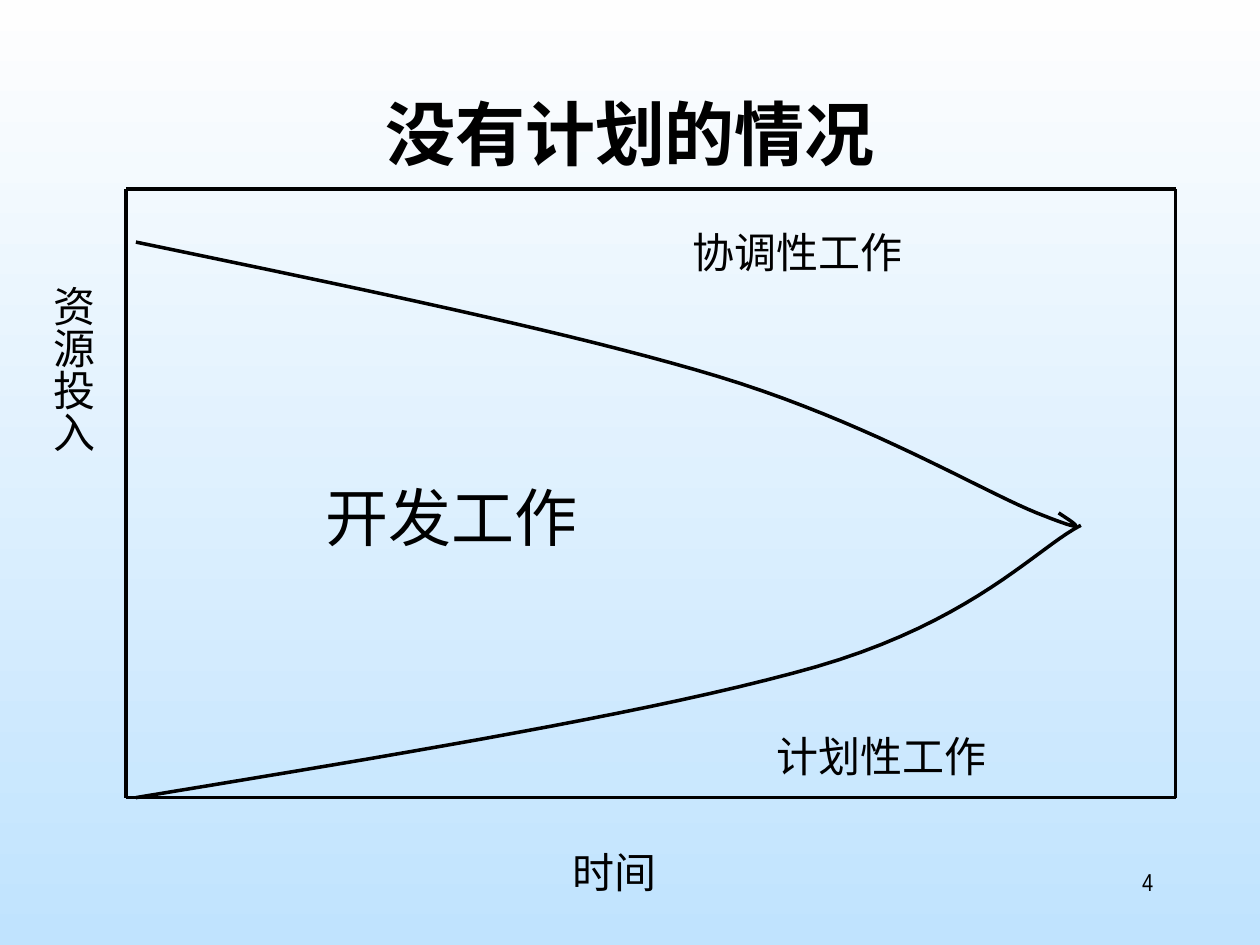
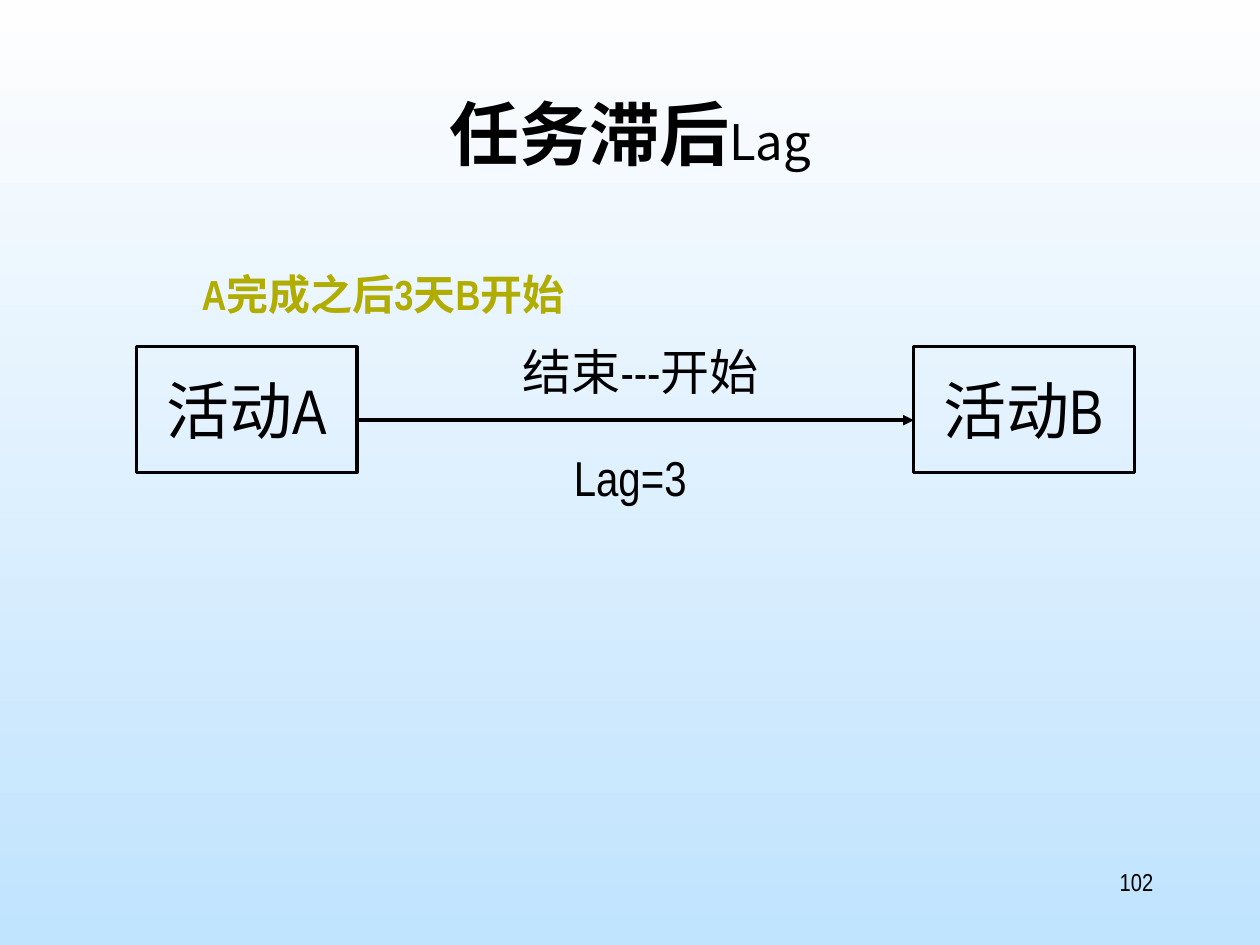
from dataclasses import dataclass
from itertools import pairwise

from lxml.etree import SubElement
from pptx import Presentation
from pptx.dml.color import RGBColor
from pptx.enum.shapes import MSO_CONNECTOR, MSO_SHAPE
from pptx.enum.text import MSO_ANCHOR as Anchor, MSO_AUTO_SIZE, PP_ALIGN as Align
from pptx.oxml.ns import qn
from pptx.util import Cm, Pt

COLORS = {"ink": "000000", "accent": "B0AC00", "sky_top": "FEFEFE", "sky_bottom": "C0E3FE"}
LATIN_FONT, CJK_FONT = "Arial Narrow", "Noto Sans CJK SC"
LINE_WIDTH = Pt(2)
CURVE_STEPS = 20

Point = tuple[float, float]


@dataclass
class Label:
    text: str
    left: float
    top: float
    width: float
    height: float
    size: int = 24
    color: str = "ink"
    bold: bool = False
    align: Align = Align.CENTER
    vertical: bool = False


@dataclass
class Activity:
    text: str
    left: float
    top: float = 6.99
    width: float = 4.45
    height: float = 2.54


def rgb(name: str) -> RGBColor:
    return RGBColor.from_string(COLORS[name])


def style_run(run, size: int, color: str = "ink", bold: bool = False, latin: str = LATIN_FONT) -> None:
    run.font.name = latin
    run.font.size = Pt(size)
    run.font.bold = bold
    run.font.color.rgb = rgb(color)
    SubElement(run.font._element, qn("a:ea"), typeface=CJK_FONT)


def style_line(line) -> None:
    line.color.rgb = rgb("ink")
    line.width = LINE_WIDTH


def paint_background(master) -> None:
    fill = master.background.fill
    fill.gradient()
    fill.gradient_angle = 270
    for stop, position, color in zip(fill.gradient_stops, (0, 1), ("sky_top", "sky_bottom")):
        stop.position = position
        stop.color.rgb = rgb(color)


def add_label(slide, label: Label) -> None:
    box = slide.shapes.add_textbox(Cm(label.left), Cm(label.top), Cm(label.width), Cm(label.height))
    frame = box.text_frame
    frame.word_wrap = True
    if label.vertical:
        frame._txBody.bodyPr.set("vert", "eaVert")
        frame.margin_left = frame.margin_right = Cm(0.13)
        frame.margin_top = frame.margin_bottom = Cm(0.25)
    frame.text = label.text
    paragraph = frame.paragraphs[0]
    paragraph.alignment = label.align
    style_run(paragraph.runs[0], label.size, label.color, label.bold)


def add_activity(slide, activity: Activity) -> None:
    box = slide.shapes.add_shape(MSO_SHAPE.RECTANGLE, Cm(activity.left), Cm(activity.top),
                                 Cm(activity.width), Cm(activity.height))
    box.shadow.inherit = False
    box.fill.background()
    style_line(box.line)
    frame = box.text_frame
    frame.word_wrap = False
    frame.vertical_anchor = Anchor.MIDDLE
    frame.text = activity.text
    frame.paragraphs[0].alignment = Align.CENTER
    style_run(frame.paragraphs[0].runs[0], 36)


def add_line(slide, start: Point, end: Point, arrow: bool = False) -> None:
    line = slide.shapes.add_connector(MSO_CONNECTOR.STRAIGHT, *map(Cm, start + end))
    style_line(line.line)
    if arrow:
        SubElement(line.line._get_or_add_ln(), qn("a:tailEnd"), type="triangle")
    SubElement(line._element.spPr, qn("a:effectLst"))


def bezier_point(controls: list[Point], t: float) -> Point:
    weights = ((1 - t) ** 3, 3 * t * (1 - t) ** 2, 3 * t * t * (1 - t), t ** 3)
    x, y = (sum(w * c for w, c in zip(weights, axis)) for axis in zip(*controls))
    return x, y


def add_curve(slide, controls: list[Point]) -> None:
    """Draw joined cubic Béziers; neighbouring ones share an end point."""
    points = [bezier_point(controls[first:first + 4], step / CURVE_STEPS)
              for first in range(0, len(controls) - 1, 3)
              for step in range(1, CURVE_STEPS + 1)]
    builder = slide.shapes.build_freeform(*map(Cm, controls[0]))
    builder.add_line_segments([(Cm(x), Cm(y)) for x, y in points], close=False)
    curve = builder.convert_to_shape()
    curve.shadow.inherit = False
    curve.fill.background()
    style_line(curve.line)


def add_titled_slide(prs, heading: str, number: str, subheading: str = ""):
    slide = prs.slides.add_slide(prs.slide_layouts[5])
    title = slide.shapes.title
    title.left, title.top, title.width, title.height = Cm(1.9), Cm(1.7), Cm(21.6), Cm(3.18)
    frame = title.text_frame
    frame.auto_size = MSO_AUTO_SIZE.NONE
    frame.vertical_anchor = Anchor.TOP
    frame.text = heading
    paragraph = frame.paragraphs[0]
    paragraph.alignment = Align.CENTER
    style_run(paragraph.runs[0], 40, bold=True, latin=CJK_FONT)
    if subheading:
        run = paragraph.add_run()
        run.text = subheading
        style_run(run, 28, latin=CJK_FONT)
    add_label(slide, Label(number, 18.2, 17.36, 5.3, 1.27, size=14, align=Align.RIGHT))
    return slide


def build_unplanned_slide(prs) -> None:
    slide = add_titled_slide(prs, "没有计划的情况", "4")
    left, top, right, bottom = 2.54, 3.81, 23.7, 16.08
    corners = [(left, top), (right, top), (right, bottom), (left, bottom), (left, top)]
    for start, end in pairwise(corners):
        add_line(slide, start, end)

    coordination_curve = [(2.74, 4.88), (7.11, 5.79), (11.46, 6.68), (14.48, 7.59),
                          (17.5, 8.51), (19.76, 9.88), (20.9, 10.34),
                          (22.05, 10.8), (21.69, 10.57), (21.34, 10.34)]
    planning_curve = [(2.74, bottom), (8.03, 15.21), (13.28, 14.35), (16.46, 13.44),
                      (19.63, 12.52), (20.9, 11.05), (21.79, 10.59)]
    for controls in (coordination_curve, planning_curve):
        add_curve(slide, controls)

    for label in (
        Label("时间", 9.53, 16.93, 5.72, 1.27),
        Label("资源投入", 0.6, 5.5, 1.52, 8.26, vertical=True),
        Label("开发工作", 4.02, 9.53, 10.16, 1.78, size=36),
        Label("计划性工作", 12.7, 14.6, 10.16, 1.27),
        Label("协调性工作", 11, 4.45, 10.16, 1.27),
    ):
        add_label(slide, label)


def build_lag_slide(prs) -> None:
    slide = add_titled_slide(prs, "任务滞后", "102", subheading="Lag")
    first, second = Activity("活动A", 2.75), Activity("活动B", 18.42)
    for activity in (first, second):
        add_activity(slide, activity)
    arrow_y = 8.47
    add_line(slide, (first.left + first.width, arrow_y), (second.left, arrow_y), arrow=True)
    for label in (
        Label("结束---开始", 8.68, 6.77, 8.47, 1.45, size=28),
        Label("Lag=3", 8.47, 8.89, 8.47, 1.45, size=28),
        Label("A完成之后3天B开始", 1.9, 5.29, 11.64, 1.27, color="accent", bold=True),
    ):
        add_label(slide, label)


def main() -> None:
    prs = Presentation()
    prs.slide_width, prs.slide_height = Cm(25.4), Cm(19.05)
    paint_background(prs.slide_master)
    build_unplanned_slide(prs)
    build_lag_slide(prs)
    prs.save("out.pptx")


if __name__ == "__main__":
    main()
